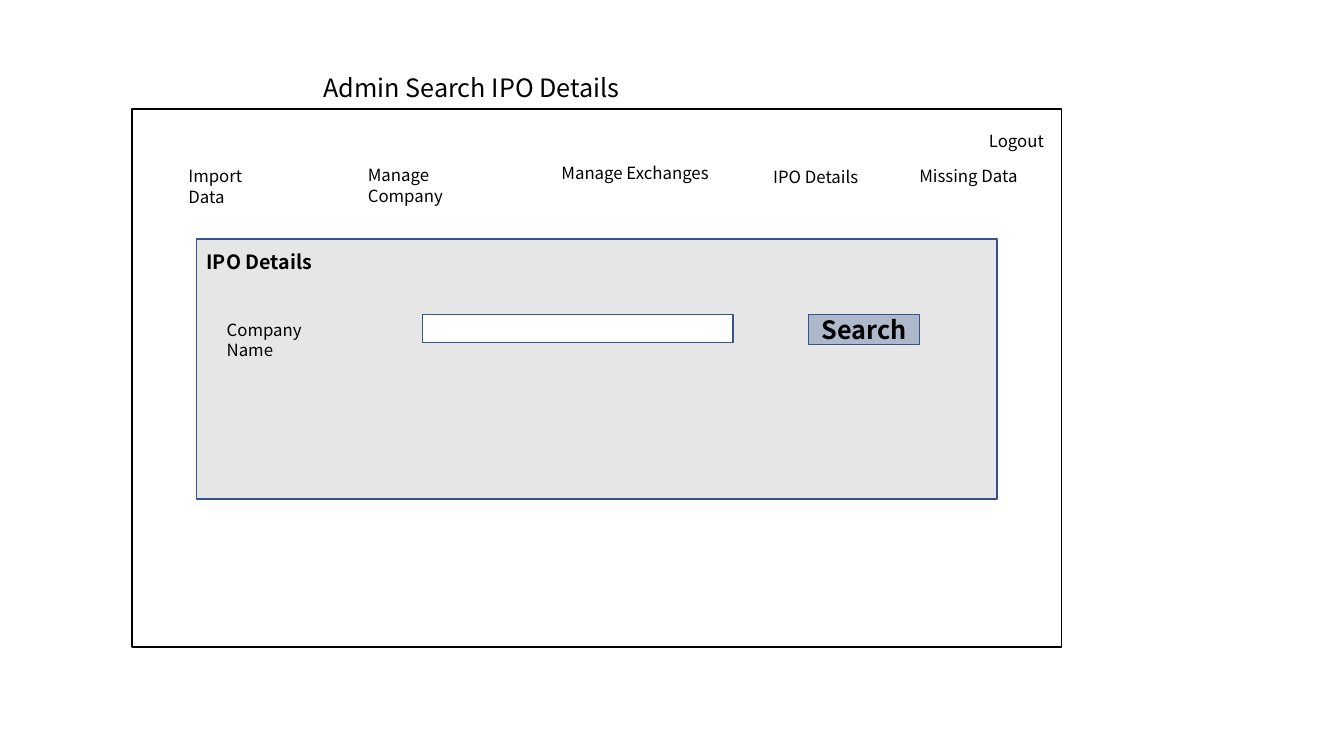
from pptx import Presentation
from pptx.dml.color import RGBColor
from pptx.enum.shapes import MSO_SHAPE
from pptx.enum.text import MSO_ANCHOR, PP_ALIGN
from pptx.util import Inches, Pt

RECTANGLE = MSO_SHAPE.RECTANGLE
MIDDLE = MSO_ANCHOR.MIDDLE
CENTER = PP_ALIGN.CENTER
FONT = "Noto Sans CJK SC"
COLORS = {
    "black": "000000",
    "white": "FFFFFF",
    "panel": "E7E6E6",
    "button": "ADB9CA",
    "border": "325491",
}

deck = Presentation()
deck.slide_width = Inches(13.33)
deck.slide_height = Inches(7.5)
page = deck.slides.add_slide(deck.slide_layouts[6])


def add_panel(left, top, width, height, fill, line):
    panel = page.shapes.add_shape(
        RECTANGLE, Inches(left), Inches(top), Inches(width), Inches(height))
    panel.shadow.inherit = False
    panel.fill.solid()
    panel.fill.fore_color.rgb = RGBColor.from_string(COLORS[fill])
    panel.line.color.rgb = RGBColor.from_string(COLORS[line])
    panel.line.width = Pt(1)
    return panel


def write_text(box, text, size, bold=False):
    frame = box.text_frame
    frame.word_wrap = True
    frame.text = text
    font = frame.paragraphs[0].runs[0].font
    font.name = FONT
    font.size = Pt(size)
    font.bold = bold
    font.color.rgb = RGBColor.from_string(COLORS["black"])


add_panel(1.31, 1.08, 9.22, 5.34, "white", "black")
add_panel(1.95, 2.37, 7.94, 2.58, "panel", "border")
add_panel(4.19, 3.12, 3.08, 0.28, "white", "border")

search_button = add_panel(8.02, 3.12, 1.1, 0.3, "button", "border")
write_text(search_button, "Search", 18, True)
search_button.text_frame.vertical_anchor = MIDDLE
search_button.text_frame.paragraphs[0].alignment = CENTER

labels = [
    ("Admin Search IPO Details", 3.11, 0.67, 5.7, 0.4, 18, False),
    ("Logout", 9.71, 1.25, 1.07, 0.3, 12, False),
    ("Import Data", 1.77, 1.6, 1.07, 0.3, 12, False),
    ("Manage Company", 3.55, 1.59, 1.56, 0.3, 12, False),
    ("Manage Exchanges", 5.47, 1.57, 1.75, 0.3, 12, False),
    ("IPO Details", 7.57, 1.61, 1.16, 0.3, 12, False),
    ("Missing Data", 9.02, 1.6, 1.27, 0.3, 12, False),
    ("IPO Details", 1.95, 2.43, 2.46, 0.34, 14, True),
    ("Company Name", 2.15, 3.12, 1.4, 0.3, 12, False),
]
for text, left, top, width, height, size, bold in labels:
    label = page.shapes.add_textbox(
        Inches(left), Inches(top), Inches(width), Inches(height))
    write_text(label, text, size, bold)

deck.save("out.pptx")
